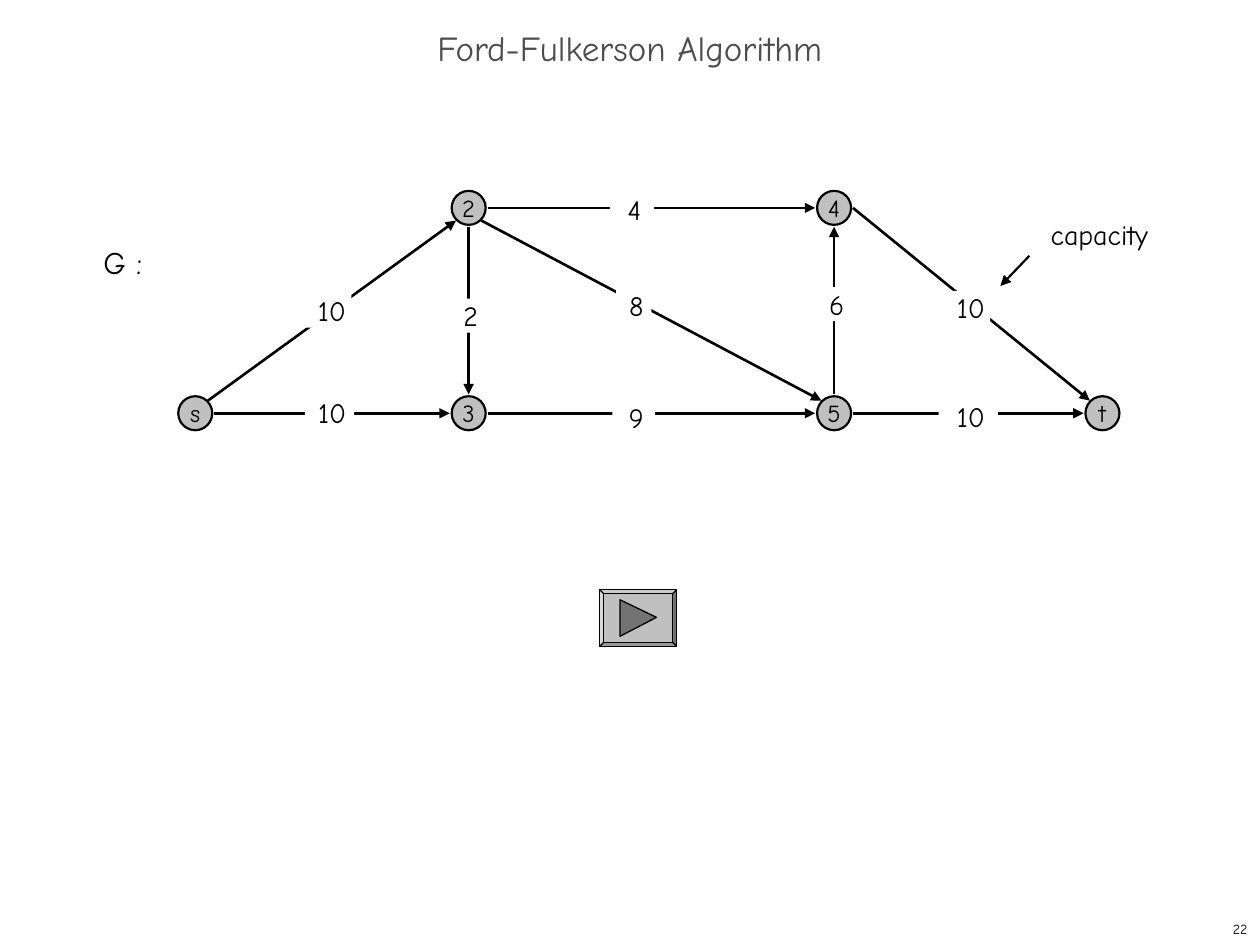
"""Build a slide showing a capacitated flow network for the Ford-Fulkerson algorithm."""
import pptx
import pptx.util
import pptx.dml.color
import pptx.enum.shapes
import pptx.enum.text
import pptx.oxml.ns
from lxml import etree

Inches = pptx.util.Inches
Pt = pptx.util.Pt
RGBColor = pptx.dml.color.RGBColor
Shape = pptx.enum.shapes.MSO_SHAPE
Align = pptx.enum.text.PP_ALIGN
Anchor = pptx.enum.text.MSO_ANCHOR
qn = pptx.oxml.ns.qn

BLACK = RGBColor(0x00, 0x00, 0x00)
WHITE = RGBColor(0xFF, 0xFF, 0xFF)
SILVER = RGBColor(0xC0, 0xC0, 0xC0)
GRAY = RGBColor(0x73, 0x73, 0x73)
TITLE_GRAY = RGBColor(0x4D, 0x4D, 0x4D)

NODE_SIZE = 0.27
TOP, BOTTOM = 1.65, 3.28
NODES = {
    "s": (1.55, BOTTOM),
    "2": (3.72, TOP),
    "3": (3.72, BOTTOM),
    "4": (6.62, TOP),
    "5": (6.62, BOTTOM),
    "t": (8.75, BOTTOM),
}
SITES = {
    "up": (0, -0.15), "down": (0, 0.15), "left": (-0.15, 0), "right": (0.15, 0),
    "up left": (-0.1, -0.1), "up right": (0.1, -0.1),
    "down left": (-0.1, 0.1), "down right": (0.1, 0.1),
}
EDGES = [
    ("s", "up right", "2", "down left"),
    ("s", "right", "3", "left"),
    ("3", "right", "5", "left"),
    ("2", "right", "4", "left"),
    ("2", "down", "3", "up"),
    ("5", "up", "4", "down"),
    ("2", "down right", "5", "up left"),
    ("4", "right", "t", "up left"),
    ("5", "right", "t", "left"),
]
CAPACITIES = [
    ("10", 2.42, 3.14, 0.39, 0.04),
    ("10", 2.33, 2.33, 0.46, 0.15),
    ("9", 4.86, 3.18, 0.34, 0.04),
    ("8", 4.89, 2.29, 0.28, 0.04),
    ("4", 4.84, 1.53, 0.35, 0.04),
    ("10", 7.45, 3.17, 0.47, 0.04),
    ("10", 7.4, 2.31, 0.46, 0.15),
    ("6", 6.39, 2.28, 0.46, 0.04),
    ("2", 3.48, 2.37, 0.47, 0.04),
]


class Sketch:
    """Hold the style and the current slide, and draw each kind of element."""

    font = "Comic Neue"

    def __init__(self, page):
        self.page = page

    def set_text(self, box, text, size, color=BLACK, align=Align.CENTER,
                 anchor=Anchor.MIDDLE, insets=(0.1, 0.05, 0.1, 0.05), wrap=True):
        frame = box.text_frame
        frame.text = text
        frame.word_wrap = wrap
        frame.vertical_anchor = anchor
        (frame.margin_left, frame.margin_top,
         frame.margin_right, frame.margin_bottom) = map(Inches, insets)
        para = frame.paragraphs[0]
        para.alignment = align
        span = para.runs[0]
        span.font.name = self.font
        span.font.size = Pt(size)
        span.font.color.rgb = color
        return para

    def text(self, text, left, top, width, height, size, **style):
        box = self.page.shapes.add_textbox(*map(Inches, (left, top, width, height)))
        return self.set_text(box, text, size, **style)

    def paint(self, shape, fill, line_width=None):
        shape.shadow.inherit = False
        shape.fill.solid()
        shape.fill.fore_color.rgb = fill
        if line_width is None:
            shape.line.fill.background()
        else:
            shape.line.color.rgb = BLACK
            shape.line.width = Pt(line_width)

    def shape(self, kind, left, top, width, height, fill, line_width=None):
        shape = self.page.shapes.add_shape(kind, *map(Inches, (left, top, width, height)))
        self.paint(shape, fill, line_width)
        return shape

    def node(self, name, x, y):
        circle = self.shape(Shape.OVAL, x - NODE_SIZE / 2, y - NODE_SIZE / 2,
                            NODE_SIZE, NODE_SIZE, SILVER, 1.25)
        self.set_text(circle, name, 14, wrap=False)

    def label(self, text, left, top, width, height, size, indent, align=Align.CENTER):
        plate = self.shape(Shape.RECTANGLE, left, top, width, height, WHITE)
        self.set_text(plate, text, size, align=align, anchor=Anchor.TOP,
                      insets=(indent, 0, 0, 0))

    def arrow(self, start, end, width):
        connector = self.page.shapes.add_connector(
            pptx.enum.shapes.MSO_CONNECTOR.STRAIGHT, *map(Inches, (*start, *end)))
        connector.line.color.rgb = BLACK
        connector.line.width = Pt(width)
        properties = connector.element.spPr
        etree.SubElement(properties.find(qn("a:ln")), qn("a:tailEnd"), type="triangle")
        etree.SubElement(properties, qn("a:effectLst"))

    def edge(self, source, source_site, target, target_site):
        start, end = (
            tuple(center + offset for center, offset in zip(NODES[name], SITES[site]))
            for name, site in ((source, source_site), (target, target_site)))
        self.arrow(start, end, 1.5)

    def play_button(self, left, top, width, height):
        bevel = self.shape(Shape.BEVEL, left, top, width, height, SILVER, 0.75)
        bevel.adjustments[0] = 0.07
        corners = [(left + 0.16, top + 0.08), (left + 0.45, top + 0.22),
                   (left + 0.16, top + 0.37)]
        points = [tuple(map(Inches, corner)) for corner in corners]
        builder = self.page.shapes.build_freeform(*points[0])
        builder.add_line_segments(points[1:], close=True)
        self.paint(builder.convert_to_shape(), GRAY, 0.75)


def main():
    deck = pptx.Presentation()
    deck.slide_width, deck.slide_height = Inches(10), Inches(7.5)
    sketch = Sketch(deck.slides.add_slide(deck.slide_layouts[6]))

    sketch.text("22", 7.92, 7.25, 2.08, 0.25, 8, align=Align.RIGHT)
    title = sketch.text("Ford-Fulkerson Algorithm", 0, 0.17, 10, 0.5, 20, color=TITLE_GRAY)
    title.line_spacing = 0.7

    for name, center in NODES.items():
        sketch.node(name, *center)
    for edge in EDGES:
        sketch.edge(*edge)
    for value, left, top, width, indent in CAPACITIES:
        sketch.label(value, left, top, width, 0.27, 16, indent)

    sketch.label("G :", 0.74, 1.93, 0.48, 0.3, 18, 0.08, align=Align.LEFT)
    sketch.text("capacity", 8.11, 1.68, 1.23, 0.37, 16, anchor=Anchor.TOP)
    sketch.arrow((8.17, 2.03), (7.94, 2.27), 1.25)
    sketch.play_button(4.76, 4.68, 0.61, 0.45)
    deck.save("out.pptx")


if __name__ == "__main__":
    main()
